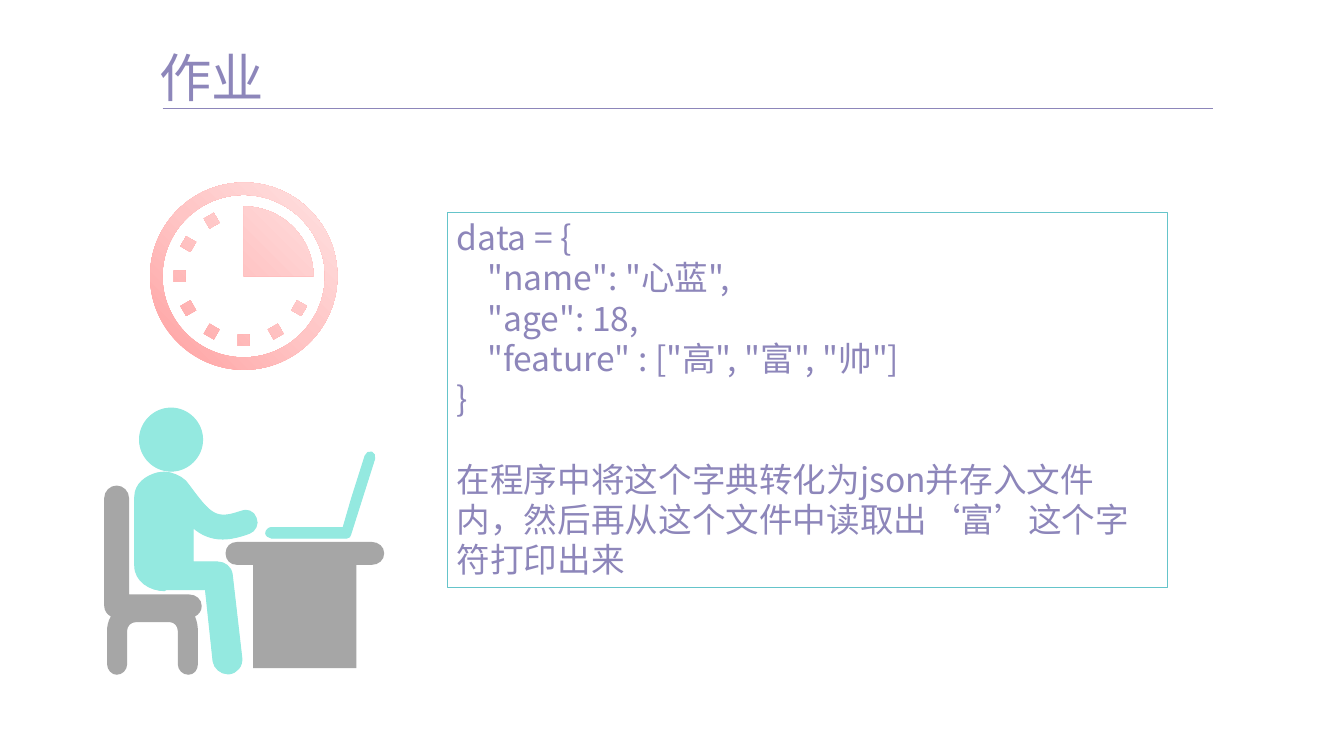
from math import cos, radians, sin

from lxml.etree import Element, SubElement
from pptx import Presentation
from pptx.dml.color import RGBColor
from pptx.enum.shapes import MSO_CONNECTOR as Connector, MSO_SHAPE as Preset
from pptx.enum.text import MSO_ANCHOR as Anchor, PP_ALIGN as Align
from pptx.oxml.ns import qn
from pptx.util import Inches, Pt

FONT = "Noto Sans CJK SC"
COLORS = {
    "purple": "8D86BA",
    "mint": "94E9E0",
    "gray": "A6A6A6",
    "teal": "65C4CA",
}
CLOCK_STOPS = [(0, "FFA0A0"), (50, "FFC5C5"), (100, "FFE3E3")]
CLOCK_CENTER = (2.55, 2.89)
ARC_HANDLE = 0.55

BODY = [
    (2.43, 6.01), (2.42, 5.93, 2.35, 5.88, 2.28, 5.88), (2.02, 5.88), (2.02, 5.52),
    (2.1, 5.59, 2.2, 5.64, 2.33, 5.64), (2.41, 5.64, 2.5, 5.62, 2.61, 5.58),
    (2.67, 5.56, 2.71, 5.48, 2.68, 5.42), (2.66, 5.35, 2.58, 5.32, 2.52, 5.35),
    (2.26, 5.44, 2.21, 5.39, 1.98, 5.08), (1.94, 5.01, 1.86, 4.97, 1.79, 4.95),
    (1.79, 4.95, 1.75, 4.94, 1.72, 4.94), (1.68, 4.94, 1.64, 4.95, 1.64, 4.95),
    (1.53, 4.98, 1.41, 5.06, 1.41, 5.2), (1.41, 5.92),
    (1.41, 6.08, 1.57, 6.18, 1.72, 6.18), (1.74, 6.17), (2.15, 6.17), (2.23, 6.92),
    (2.24, 6.99, 2.31, 7.05, 2.38, 7.05), (2.4, 7.05),
    (2.48, 7.04, 2.54, 6.97, 2.53, 6.88),
]
CHAIR = [
    (2.11, 6.34), (2.11, 6.27, 2.05, 6.22, 1.98, 6.22), (1.35, 6.22), (1.35, 5.21),
    (1.35, 5.14, 1.29, 5.08, 1.22, 5.08), (1.15, 5.08, 1.09, 5.14, 1.09, 5.21),
    (1.09, 6.34), (1.09, 6.39, 1.12, 6.43, 1.16, 6.45),
    (1.13, 6.5, 1.12, 6.55, 1.12, 6.6), (1.12, 6.95),
    (1.12, 7.01, 1.17, 7.06, 1.22, 7.06), (1.28, 7.06, 1.33, 7.01, 1.33, 6.95),
    (1.33, 6.6), (1.33, 6.55, 1.37, 6.51, 1.42, 6.51), (1.78, 6.51),
    (1.82, 6.51, 1.86, 6.55, 1.86, 6.6), (1.86, 6.95),
    (1.86, 7.01, 1.91, 7.06, 1.97, 7.06), (2.03, 7.06, 2.07, 7.01, 2.07, 6.95),
    (2.07, 6.6), (2.07, 6.55, 2.06, 6.5, 2.04, 6.45),
    (2.08, 6.43, 2.11, 6.39, 2.11, 6.34),
]
DESK = [
    (3.89, 5.67), (2.48, 5.67), (2.41, 5.67, 2.36, 5.72, 2.36, 5.79),
    (2.36, 5.86, 2.41, 5.91, 2.48, 5.91), (2.65, 5.91), (2.65, 6.99), (3.73, 6.99),
    (3.73, 5.91), (3.89, 5.91), (3.96, 5.91, 4.02, 5.86, 4.02, 5.79),
    (4.02, 5.72, 3.96, 5.67, 3.89, 5.67),
]
LAPTOP = [
    (3.68, 5.21), (3.59, 5.52), (2.84, 5.52), (2.81, 5.52, 2.78, 5.55, 2.78, 5.58),
    (2.78, 5.6, 2.81, 5.63, 2.84, 5.63), (3.63, 5.63),
    (3.65, 5.63, 3.67, 5.61, 3.67, 5.59), (3.92, 4.8),
    (3.93, 4.77, 3.91, 4.74, 3.89, 4.73), (3.86, 4.72, 3.83, 4.74, 3.82, 4.77),
]
HEAD = [
    (1.79, 4.93), (1.97, 4.93, 2.12, 4.78, 2.12, 4.6),
    (2.12, 4.42, 1.97, 4.27, 1.79, 4.27), (1.61, 4.27, 1.46, 4.42, 1.46, 4.6),
    (1.46, 4.78, 1.61, 4.93, 1.79, 4.93),
]
HOMEWORK = [
    ("data = {", 0, 0),
    ('"name": "心蓝",', 0.32, 0),
    ('"age": 18,', 0.32, 0),
    ('"feature" : ["高", "富", "帅"]', 0.32, 0),
    ("}", 0, 0),
    ("在程序中将这个字典转化为json并存入文件内，然后再从这个文件中读取出‘富’这个字符打印出来", 0, 30.4),
]


def color(name):
    return RGBColor.from_string(COLORS[name])


def clock_point(radius, degrees, offset=0):
    angle = radians(degrees)
    x, y = CLOCK_CENTER
    return (x + radius * sin(angle) + offset * cos(angle),
            y - radius * cos(angle) + offset * sin(angle))


def arc(radius, quarters, turn=1):
    handle = ARC_HANDLE * radius * turn
    outline = [clock_point(radius, 0)]
    for quarter in range(quarters):
        start, end = quarter * 90 * turn, (quarter + 1) * 90 * turn
        outline.append(clock_point(radius, start, handle)
                       + clock_point(radius, end, -handle)
                       + clock_point(radius, end))
    return outline


def hour_mark(hour):
    corners = [(0.61, -0.06), (0.73, -0.06), (0.73, 0.06), (0.61, 0.06)]
    return [clock_point(radius, hour * 30, offset) for radius, offset in corners]


def bend(shape, segments):
    route = shape._element.spPr.find(".//" + qn("a:path"))
    for side, segment in zip(list(route.iter(qn("a:lnTo"))), segments):
        if len(segment) == 2:
            continue
        curve = Element(qn("a:cubicBezTo"))
        for x, y in (segment[:2], segment[2:4], segment[4:]):
            SubElement(curve, qn("a:pt"),
                       x=str(Inches(x) - shape.left), y=str(Inches(y) - shape.top))
        route.replace(side, curve)


def add_outline(page, outlines):
    builder = None
    for outline in outlines:
        start, *rest = [(Inches(part[-2]), Inches(part[-1])) for part in outline]
        if builder is None:
            builder = page.shapes.build_freeform(*start, scale=1.0)
        else:
            builder.move_to(*start)
        builder.add_line_segments(rest, close=False)
        builder.add_line_segments([], close=True)
    shape = builder.convert_to_shape()
    shape.shadow.inherit = False
    bend(shape, [segment for outline in outlines for segment in outline[1:]])
    return shape


def add_part(page, outline, fill, edged):
    shape = add_outline(page, [outline])
    shape.fill.solid()
    shape.fill.fore_color.rgb = color(fill)
    if edged:
        shape.line.color.rgb = color(fill)
        shape.line.width = Pt(0.75)
    else:
        shape.line.fill.background()


def add_clock(page):
    marks = [hour_mark(hour) for hour in range(4, 12)]
    pie = arc(0.73, 1) + [CLOCK_CENTER]
    clock = add_outline(page, [arc(0.98, 4), arc(0.85, 4, -1), pie, *marks])
    clock.line.fill.background()
    clock.fill.gradient()
    clock.fill.gradient_angle = 45
    stops = clock._element.spPr.find(qn("a:gradFill")).find(qn("a:gsLst"))
    for stop in list(stops):
        stops.remove(stop)
    for percent, shade in CLOCK_STOPS:
        stop = SubElement(stops, qn("a:gs"), pos=str(percent * 1000))
        SubElement(stop, qn("a:srgbClr"), val=shade)


def add_rule(page):
    rule = page.shapes.add_connector(
        Connector.STRAIGHT, Inches(1.7), Inches(1.13), Inches(12.69), Inches(1.13))
    rule.line.color.rgb = color("purple")
    rule.line.width = Pt(0.5)
    SubElement(rule._element.spPr, qn("a:effectLst"))


def write(para, text, size):
    para.alignment = Align.LEFT
    para.line_spacing = Pt(size * 1.2)
    span = para.add_run()
    span.text = text
    span.font.size = Pt(size)
    span.font.name = FONT
    span.font.color.rgb = color("purple")
    SubElement(span._r.get_or_add_rPr(), qn("a:ea"), typeface=FONT)


def add_title(page):
    box = page.shapes.add_textbox(Inches(1.67), Inches(0.47), Inches(4.18), Inches(0.66))
    frame = box.text_frame
    frame.word_wrap = True
    frame.margin_left = frame.margin_right = frame.margin_top = frame.margin_bottom = 0
    write(frame.paragraphs[0], "作业", 39.4)


def add_homework(page):
    box = page.shapes.add_shape(
        Preset.RECTANGLE, Inches(4.68), Inches(2.22), Inches(7.53), Inches(3.93))
    box.shadow.inherit = False
    box.fill.background()
    box.line.color.rgb = color("teal")
    box.line.width = Pt(0.75)
    frame = box.text_frame
    frame.word_wrap = True
    frame.vertical_anchor = Anchor.TOP
    for index, (text, indent, gap) in enumerate(HOMEWORK):
        para = frame.add_paragraph() if index else frame.paragraphs[0]
        para.space_before = Pt(gap)
        layout = para._p.get_or_add_pPr()
        layout.set("marL", str(Inches(indent)))
        layout.set("hangingPunct", "0")
        write(para, text, 25.3)


def main():
    deck = Presentation()
    deck.slide_width, deck.slide_height = Inches(14.06), Inches(7.91)
    page = deck.slides.add_slide(deck.slide_layouts[6])
    add_title(page)
    add_rule(page)
    parts = [(HEAD, "mint", True), (BODY, "mint", True), (CHAIR, "gray", False),
             (DESK, "gray", False), (LAPTOP, "mint", True)]
    for outline, fill, edged in parts:
        add_part(page, outline, fill, edged)
    add_clock(page)
    add_homework(page)
    deck.save("out.pptx")


if __name__ == "__main__":
    main()
